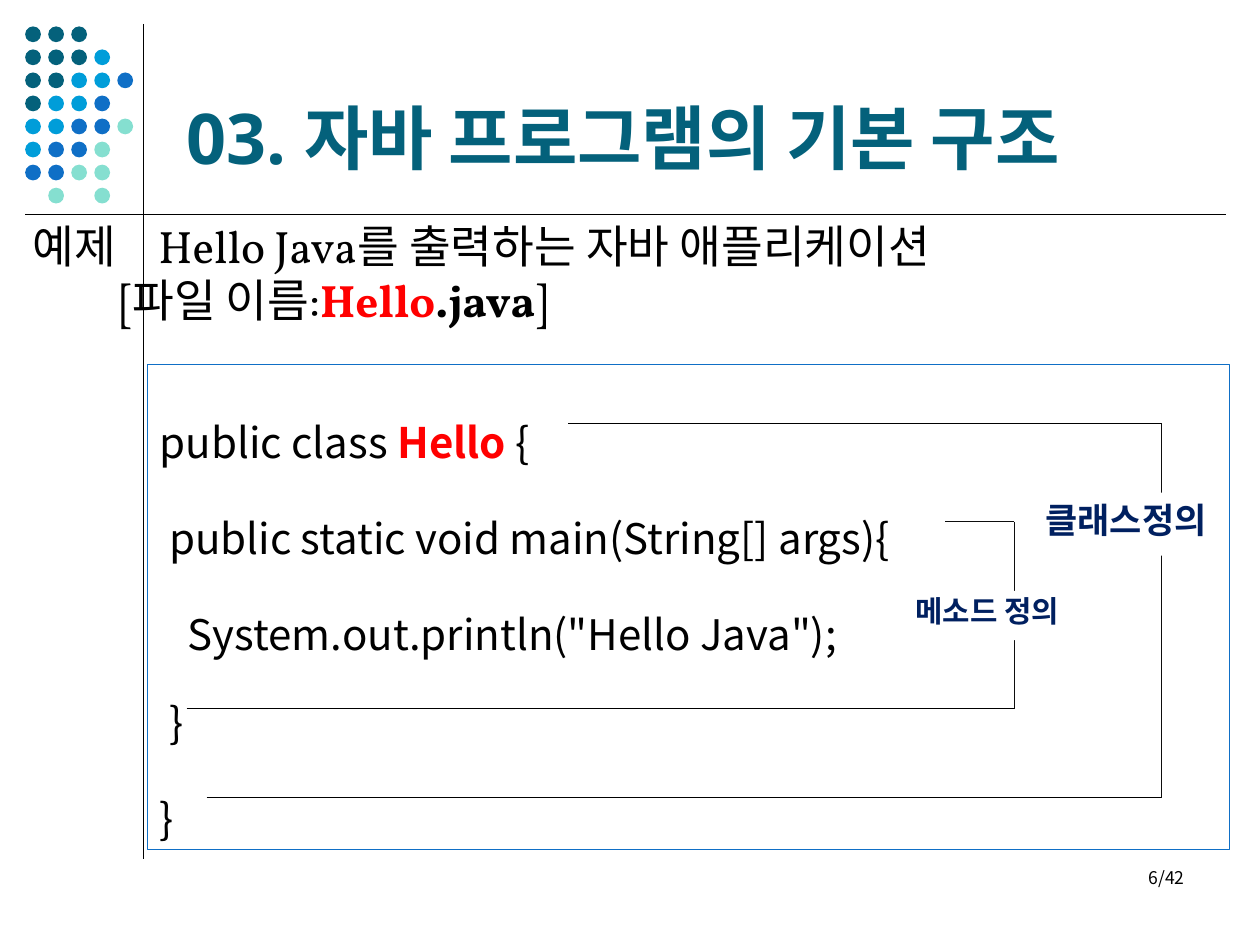
from lxml import etree
from pptx import Presentation
from pptx.dml.color import RGBColor
from pptx.enum.shapes import MSO_CONNECTOR, MSO_SHAPE
from pptx.enum.text import MSO_ANCHOR, PP_ALIGN
from pptx.oxml.ns import qn
from pptx.util import Pt

OVAL, RECT = MSO_SHAPE.OVAL, MSO_SHAPE.RECTANGLE
STRAIGHT = MSO_CONNECTOR.STRAIGHT
TOP, BOTTOM = MSO_ANCHOR.TOP, MSO_ANCHOR.BOTTOM
LEFT, RIGHT, JUSTIFY = PP_ALIGN.LEFT, PP_ALIGN.RIGHT, PP_ALIGN.JUSTIFY

BLACK = RGBColor(0, 0, 0)
DARK = RGBColor(0x0D, 0x0D, 0x0D)
WHITE = RGBColor(0xFF, 0xFF, 0xFF)
RED = RGBColor(0xFF, 0, 0)
NAVY = RGBColor(0, 0x20, 0x60)
TEAL = RGBColor(0x04, 0x61, 0x7B)
SKY = RGBColor(0, 0x9D, 0xD9)
BLUE = RGBColor(0x0F, 0x6F, 0xC6)
MINT = RGBColor(0x85, 0xDF, 0xD0)

SANS = "Noto Sans CJK KR"
HEADING = "Open Sans"
SERIF = "Vollkorn"

# A span is (text, colour, bold); a paragraph is a list of spans.
TITLE = [[("03. 자바 프로그램의 기본 구조", TEAL, True)]]
EXAMPLE = [
    [("예제\tHello Java를 출력하는 자바 애플리케이션", BLACK, False)],
    [("[파일 이름:", BLACK, False), ("Hello", RED, True),
     (".java", BLACK, True), ("]", BLACK, False)],
]
CODE = [
    [("public class ", BLACK, False), ("Hello", RED, True), (" {", BLACK, False)],
    [(" public static void main(String[] args){", BLACK, False)],
    [('   System.out.println("Hello Java");', BLACK, False)],
    [(" }", BLACK, False)],
    [("}", BLACK, False)],
]
CLASS_LABEL = [[("클래스정의", NAVY, True)]]
METHOD_LABEL = [[("메소드 정의", NAVY, True)]]
PAGE_NUMBER = [[("6/42", BLACK, False)]]

DOT_COLORS = {"t": TEAL, "s": SKY, "b": BLUE, "m": MINT}
DOT_ROWS = ["ttt", "ttts", "ttssb", "tssb", "ssbbm", "sbbm", "bbmm", ".m.m"]
DOT_LEFT, DOT_TOP, DOT_PITCH, DOT_SIZE = 14.4, 15.1, 13.17, 9

RULES = [(82.2, 13.7, 82.2, 491), (14.4, 122.4, 700.6, 122.4)]
# Bracket: top arm start, bottom arm start, right edge, top, bottom, top arm colour
BRACKETS = [
    (540, 106.6, 579.6, 298.1, 405, DARK),
    (324.7, 118.1, 663.8, 241.9, 455.8, BLACK),
]


def add_line(page, x1, y1, x2, y2, color=BLACK, width=0.75):
    line = page.shapes.add_connector(STRAIGHT, Pt(x1), Pt(y1), Pt(x2), Pt(y2))
    line.line.color.rgb = color
    line.line.width = Pt(width)
    etree.SubElement(line._element.spPr, qn("a:effectLst"))


def add_shape(page, kind, left, top, width, height, fill=None, outline=None):
    shape = page.shapes.add_shape(kind, Pt(left), Pt(top), Pt(width), Pt(height))
    shape.shadow.inherit = False
    if fill is None:
        shape.fill.background()
    else:
        shape.fill.solid()
        shape.fill.fore_color.rgb = fill
    if outline is None:
        shape.line.fill.background()
    else:
        shape.line.color.rgb = outline
        shape.line.width = Pt(0.75)
    return shape


def add_box(page, left, top, width, height):
    return page.shapes.add_textbox(Pt(left), Pt(top), Pt(width), Pt(height))


def write(box, paragraphs, size, font=SANS, align=LEFT, anchor=TOP,
          spacing=None, indents=(), tab=None, inset_top=3.6):
    """Fill a box; spacing and indents hold one value for each paragraph."""
    frame = box.text_frame
    frame.word_wrap = True
    frame.vertical_anchor = anchor
    frame.margin_top = Pt(inset_top)
    for index, spans in enumerate(paragraphs):
        para = frame.paragraphs[0] if index == 0 else frame.add_paragraph()
        para.alignment = align
        if spacing:
            para.line_spacing = spacing[index]
        properties = para._p.get_or_add_pPr()
        if indents:
            properties.set("marL", str(Pt(indents[index])))
            properties.set("indent", "0")
        if tab:
            stops = etree.SubElement(properties, qn("a:tabLst"))
            etree.SubElement(stops, qn("a:tab"), pos=str(Pt(tab)), algn="l")
        for text, color, bold in spans:
            span = para.add_run()
            span.text = text
            span.font.size = Pt(size)
            span.font.name = font
            span.font.bold = bold
            span.font.color.rgb = color
            etree.SubElement(span._r.get_or_add_rPr(), qn("a:ea"), typeface=SANS)


def add_dots(page):
    for row, codes in enumerate(DOT_ROWS):
        for column, code in enumerate(codes):
            if code in DOT_COLORS:
                add_shape(page, OVAL, DOT_LEFT + column * DOT_PITCH,
                          DOT_TOP + row * DOT_PITCH, DOT_SIZE, DOT_SIZE,
                          fill=DOT_COLORS[code])


def main():
    deck = Presentation()
    deck.slide_width, deck.slide_height = Pt(720), Pt(540)
    page = deck.slides.add_slide(deck.slide_layouts[6])

    for rule in RULES:
        add_line(page, *rule)
    add_dots(page)
    write(add_box(page, 99.4, 15.1, 594, 90.7), TITLE, 40, font=HEADING, anchor=BOTTOM)
    write(add_box(page, 11.5, 123.8, 692, 78.5), EXAMPLE, 25.9, font=SERIF,
          indents=(0, 50), tab=69, inset_top=0.6)

    for top_start, bottom_start, right, top, bottom, color in BRACKETS:
        add_line(page, top_start, top, right, top, color, 0.34)
        add_line(page, bottom_start, bottom, right, bottom, BLACK, 0.34)
        add_line(page, right, top, right, bottom, DARK)

    write(add_shape(page, RECT, 590.4, 281.5, 129.6, 36, fill=WHITE),
          CLASS_LABEL, 20, align=JUSTIFY)
    write(add_shape(page, RECT, 511.9, 337.7, 134.6, 28.1, fill=WHITE),
          METHOD_LABEL, 17, align=JUSTIFY, spacing=[0.9], indents=[4])
    write(add_shape(page, RECT, 84.2, 208.1, 618.5, 277.2, outline=BLUE),
          CODE, 24, spacing=[Pt(55), Pt(55), Pt(55), Pt(50), Pt(55)])
    write(add_box(page, 516.2, 491.8, 167.8, 36), PAGE_NUMBER, 10, align=RIGHT)

    deck.save("out.pptx")


if __name__ == "__main__":
    main()
